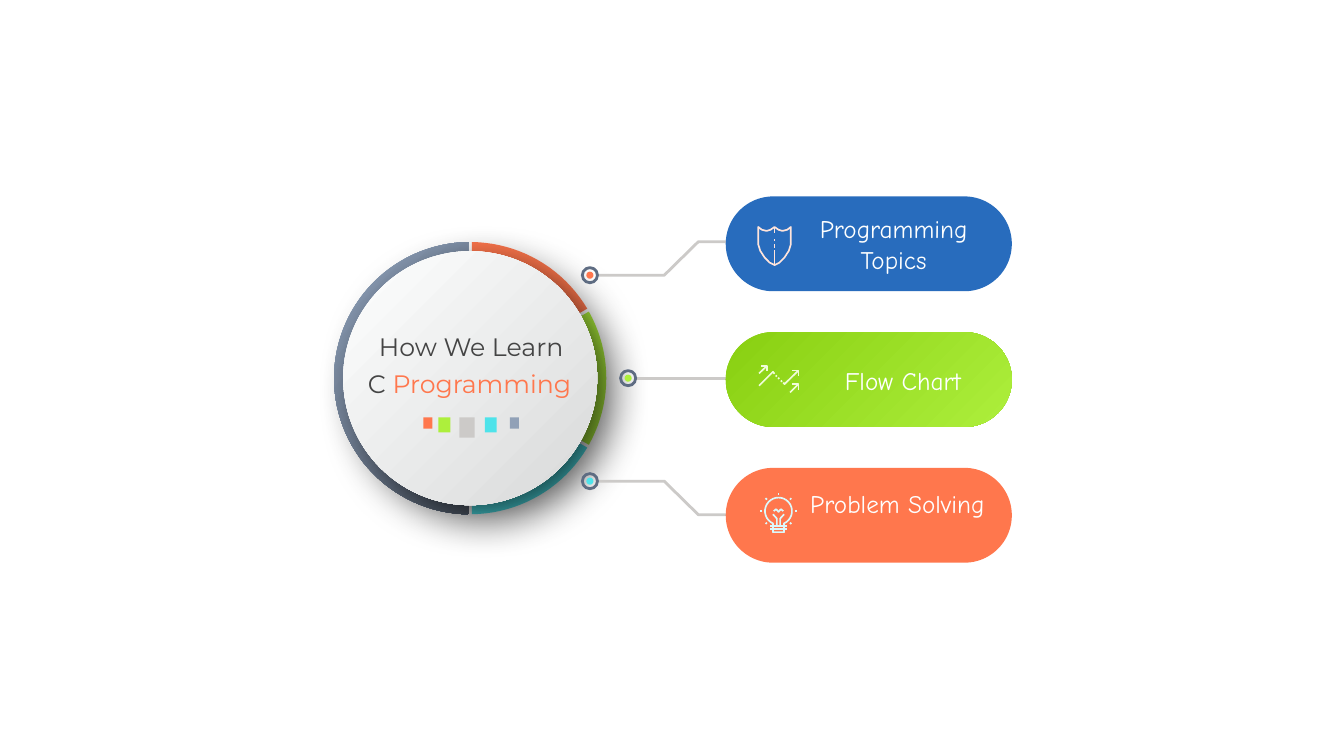
import math
from dataclasses import dataclass

from pptx import Presentation
from pptx import util as u
from pptx.dml import color
from pptx.enum import shapes, text
from pptx.oxml import ns, parse_xml


@dataclass
class Theme:
    orange: str = "FF774D"
    lime: str = "ADEF3C"
    cyan: str = "4EE3EA"
    blue: str = "286CBD"
    slate: str = "91A1B7"
    ring: str = "5E6C82"
    grey: str = "CCCAC8"
    ink: str = "444444"
    white: str = "FEFFFF"
    shield: str = "FFE4DB"
    arrows: str = "EFFCD8"
    bulb: str = "DCF9FB"
    # A gradient is its stops and its direction
    dial: tuple = (((0, "545F6E"), (50, "78879D"), (100, "8EA1BA")),
                   '<a:path path="circle"><a:fillToRect l="100000" t="100000"/></a:path>')
    disc: tuple = (((0, "FEFFFF"), (100, "D8D9D9")), '<a:lin ang="2700000" scaled="0"/>')
    leaf: tuple = (((0, "89CF11"), (100, "ADEF3C")), '<a:lin ang="2700000" scaled="0"/>')
    title_font: str = "Montserrat"
    label_font: str = "Comic Neue"
    size: int = 18


theme = Theme()
deck = Presentation()
deck.slide_width, deck.slide_height = u.Cm(33.87), u.Cm(19.05)
slide = deck.slides.add_slide(deck.slide_layouts[6])


def paint(shape, fill=None, line=None, weight=2):
    """Give a shape its plain or gradient fill and its line, without shadow."""
    shape.shadow.inherit = False
    if fill is None:
        shape.fill.background()
    elif isinstance(fill, str):
        shape.fill.solid()
        shape.fill.fore_color.rgb = color.RGBColor.from_string(fill)
    else:
        stops, direction = fill
        marks = "".join(f'<a:gs pos="{at * 1000}"><a:srgbClr val="{tone}"/></a:gs>'
                        for at, tone in stops)
        shape.fill.gradient()
        old = shape.element.spPr.find(ns.qn("a:gradFill"))
        old.getparent().replace(old, parse_xml(
            f'<a:gradFill {ns.nsdecls("a")} rotWithShape="1"><a:gsLst>{marks}</a:gsLst>'
            f'{direction}</a:gradFill>'))
    if line is None:
        shape.line.fill.background()
    else:
        shape.line.color.rgb = color.RGBColor.from_string(line)
        shape.line.width = u.Pt(weight)
    return shape


def trace(strokes, x=0, y=0, close=False):
    """Build one freeform from strokes given in cm around the point x, y."""
    builder = None
    for stroke in strokes:
        points = [(u.Cm(x + dx), u.Cm(y + dy)) for dx, dy in stroke]
        if builder is None:
            builder = slide.shapes.build_freeform(*points[0])
        else:
            builder.move_to(*points[0])
        builder.add_line_segments(points[1:], close=close)
    return builder.convert_to_shape()


# Dial: four sectors under a pale disc
hub_x, hub_y, radius, gap = 11.85, 9.53, 3.43, 0.7
for start, end, fill in ((-90, -30, theme.orange), (-30, 30, theme.lime),
                         (30, 90, theme.cyan), (90, 270, theme.dial)):
    middle = math.radians((start + end) / 2)
    sector = [(0.08 * math.cos(middle), 0.08 * math.sin(middle))]
    steps = (end - start) // 3
    for step in range(steps + 1):
        angle = math.radians(start + gap + (end - start - 2 * gap) * step / steps)
        sector.append((radius * math.cos(angle), radius * math.sin(angle)))
    paint(trace([sector], hub_x, hub_y, close=True), fill)

disc = paint(slide.shapes.add_shape(shapes.MSO_SHAPE.OVAL, u.Cm(hub_x - 3.2), u.Cm(hub_y - 3.2),
                                    u.Cm(6.4), u.Cm(6.4)), theme.disc)
disc.element.spPr.find(ns.qn("a:effectLst")).append(parse_xml(
    f'<a:outerShdw {ns.nsdecls("a")} blurRad="{u.Pt(30)}" dist="{u.Pt(14)}" dir="2700000" '
    'algn="tl" rotWithShape="0"><a:srgbClr val="000000"><a:alpha val="70000"/></a:srgbClr>'
    '</a:outerShdw>'))

for left, width, height, fill in ((10.67, 0.23, 0.28, theme.orange), (11.05, 0.3, 0.38, theme.lime),
                                  (11.58, 0.38, 0.51, theme.grey), (12.22, 0.3, 0.38, theme.cyan),
                                  (12.85, 0.23, 0.28, theme.slate)):
    paint(slide.shapes.add_shape(shapes.MSO_SHAPE.RECTANGLE, u.Cm(left), u.Cm(10.52),
                                 u.Cm(width), u.Cm(height)), fill)

# Icon strokes in cm around each icon's centre
half = [(0, -0.48), (-0.1, -0.41), (-0.2, -0.38), (-0.32, -0.41), (-0.41, -0.48),
        (-0.41, -0.04), (-0.36, 0.12), (-0.25, 0.29), (-0.12, 0.42), (0, 0.48)]
shield = [half + [(-x, y) for x, y in reversed(half)]]
shield += [[(0, top), (0, bottom)] for top, bottom in
           ((-0.48, -0.32), (-0.17, -0.13), (-0.04, 0.04), (0.11, 0.48))]

arrows = [[(-0.5, 0.17), (-0.15, -0.18), (-0.11, -0.13)],
          [(0.11, 0.09), (0.14, 0.13), (0.49, -0.21)],
          [(0.28, 0.34), (0.49, 0.13)], [(-0.5, -0.14), (-0.3, -0.33)]]
arrows += [[(x, x - 0.01), (x + 0.03, x + 0.02)] for x in (-0.08, -0.02, 0.05)]
arrows += [[(x - 0.15, y), (x, y), (x, y + 0.14)]
           for x, y in ((0.49, -0.21), (0.49, 0.13), (-0.3, -0.33))]

glass = [(0.34 * math.cos(math.radians(a)), 0.34 * math.sin(math.radians(a)))
         for a in range(114, 427, 12)]
bulb = [[(-0.14, 0.53), *glass, (0.14, 0.53), (-0.14, 0.53)],
        [(-0.12, 0), (-0.06, -0.05), (0, 0.02), (0.06, -0.05), (0.12, 0)]]
bulb += [[(-x, y), (x, y)] for x, y in ((0.21, 0.37), (0.21, 0.45))]
bulb += [[(side * 0.14, 0.08), (side * 0.04, 0.19), (side * 0.04, 0.37)] for side in (-1, 1)]
bulb += [[(r * math.cos(math.radians(a)), r * math.sin(math.radians(a))) for r in (0.41, 0.46)]
         for a in range(135, 406, 45)]

# Branches: node on an outer orbit, lead line, pill and icon
orbit, pill_left = 3.98, 18.29
branches = ((theme.orange, theme.blue, shield, theme.shield, 19.52, 6.2),
            (theme.lime, theme.leaf, arrows, theme.arrows, 19.63, 9.55),
            (theme.cyan, theme.orange, bulb, theme.bulb, 19.62, 12.88))
for row, (core, pill_fill, icon, icon_tone, icon_x, icon_y) in enumerate(branches):
    side = row - 1
    angle = math.radians(40.7 * side)
    node_x, node_y = hub_x + orbit * math.cos(angle), hub_y + orbit * math.sin(angle)
    if side:
        level = hub_y + 3.44 * side
        paint(trace([[(node_x + 0.19, node_y), (16.74, node_y), (17.6, level), (18.34, level)]]),
              line=theme.grey)
    else:
        lead = slide.shapes.add_connector(shapes.MSO_CONNECTOR.STRAIGHT, u.Cm(node_x + 0.19),
                                          u.Cm(node_y), u.Cm(18.36), u.Cm(node_y))
        lead.line.color.rgb = color.RGBColor.from_string(theme.grey)
        lead.line.width = u.Pt(2)
        lead.element.spPr.append(parse_xml(f'<a:effectLst {ns.nsdecls("a")}/>'))
    for across, fill, line in ((0.38, None, theme.ring), (0.18, core, None)):
        paint(slide.shapes.add_shape(shapes.MSO_SHAPE.OVAL, u.Cm(node_x - across / 2),
                                     u.Cm(node_y - across / 2), u.Cm(across), u.Cm(across)),
              fill, line)
    pill = paint(slide.shapes.add_shape(shapes.MSO_SHAPE.ROUNDED_RECTANGLE, u.Cm(pill_left),
                                        u.Cm(4.95 + 3.42 * row), u.Cm(7.21), u.Cm(2.39)), pill_fill)
    pill.adjustments[0] = 0.5
    paint(trace(icon, icon_x, icon_y), line=icon_tone, weight=1.2)

# Title lines and pill labels
bare = {"word_wrap": False, "margin_left": 0, "margin_right": 0, "margin_top": 0, "margin_bottom": 0}
wrapped = {"word_wrap": True}
title = {"name": theme.title_font, "size": u.Pt(theme.size)}
label = {"name": theme.label_font, "size": u.Pt(theme.size)}
for left, top, width, height, frame_format, font_format, runs in (
        (9.5, 8.36, 4.75, 0.99, bare, title, [("How We Learn", theme.ink)]),
        (9.22, 9.27, 5.23, 0.99, bare, title, [("C ", theme.ink), ("Programming", theme.orange)]),
        (19.94, 5.26, 5.16, 1.8, wrapped, label, [("Programming Topics", theme.white)]),
        (18.36, 9.07, 8.79, 1.02, wrapped, label, [("Flow Chart", theme.white)]),
        (20.14, 12.19, 4.95, 1.8, wrapped, label, [("Problem Solving", theme.white)])):
    frame = slide.shapes.add_textbox(u.Cm(left), u.Cm(top), u.Cm(width), u.Cm(height)).text_frame
    for key, value in frame_format.items():
        setattr(frame, key, value)
    line = frame.paragraphs[0]
    line.alignment = text.PP_ALIGN.CENTER
    for words, tone in runs:
        run = line.add_run()
        run.text = words
        for key, value in font_format.items():
            setattr(run.font, key, value)
        run.font.color.rgb = color.RGBColor.from_string(tone)

deck.save("out.pptx")
